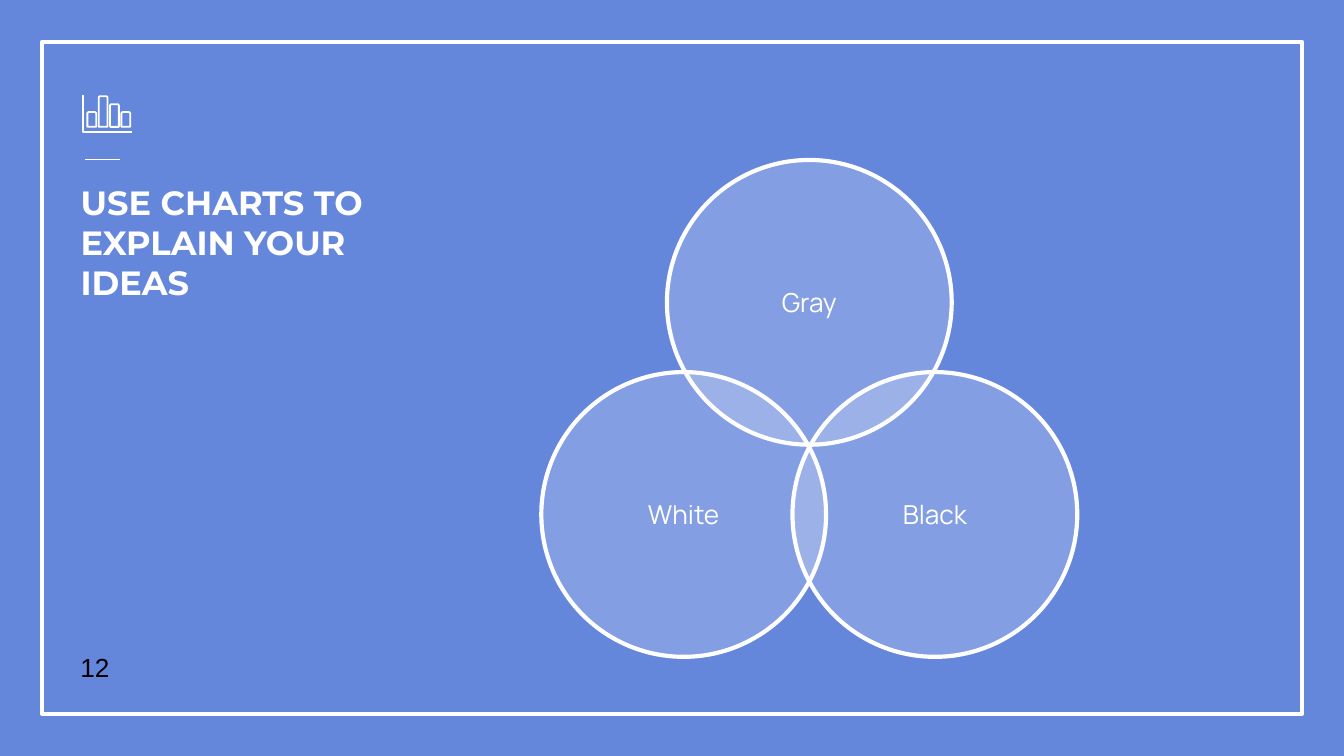
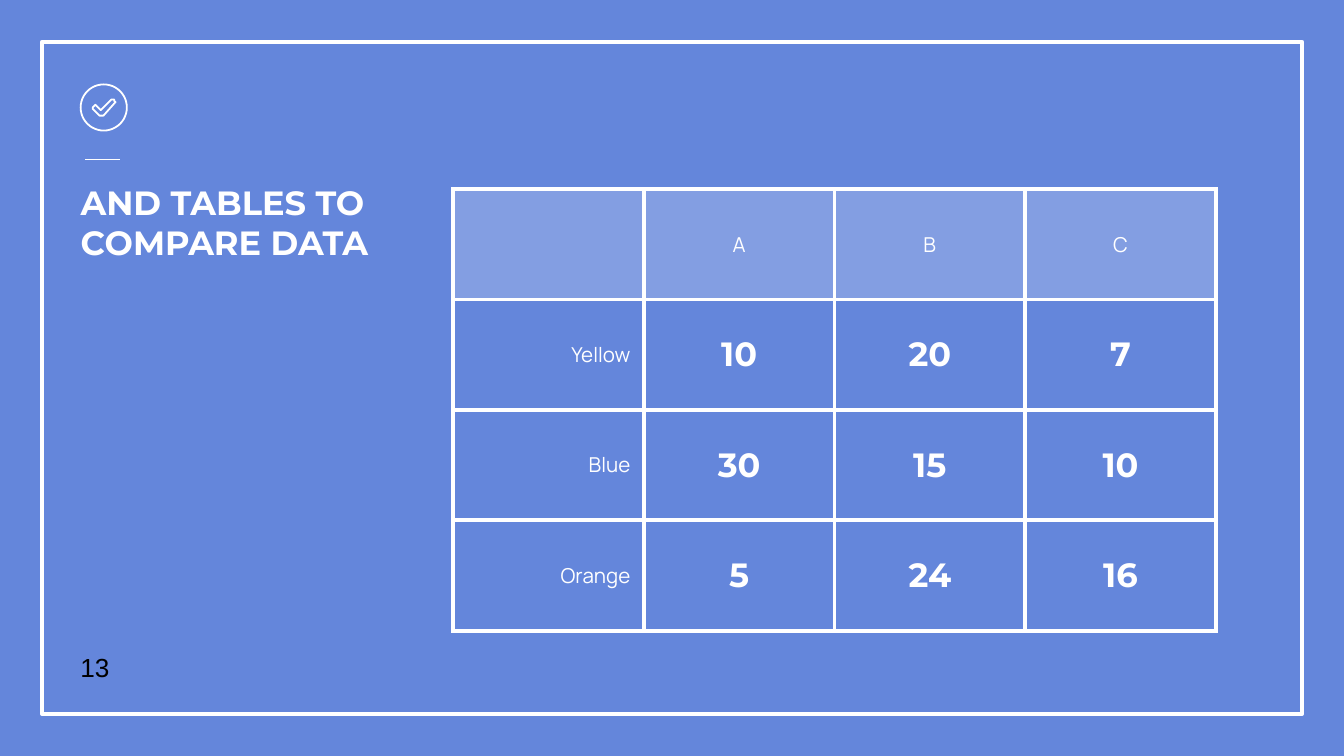
from dataclasses import dataclass

from lxml import etree
from pptx import Presentation
from pptx import util as u
from pptx.dml.color import RGBColor
from pptx.enum import shapes, text
from pptx.oxml.ns import qn


@dataclass(frozen=True)
class Theme:
    blue = RGBColor.from_string("6486DB")
    white = RGBColor.from_string("FFFFFF")
    black = RGBColor.from_string("000000")
    veil = "20000"  # opacity of the white fills, in thousandths of a percent
    heading_font, label_font, number_font = "Montserrat", "Manrope", "Arial"
    heading_size, label_size, cell_size = u.Pt(18), u.Pt(14), u.Pt(11)
    bold_line, icon_line, thin_line = u.Pt(2.25), u.Pt(0.96), u.Pt(0.75)
    inset = u.Inches(0.1)


theme = Theme()
COLUMNS, ROWS = 32, 18
unit = u.Inches(10) / COLUMNS


def grid(*cells):
    """Turn grid columns and rows into slide lengths."""
    return [u.Emu(round(cell * unit)) for cell in cells]


def style(item, line=None, font=None, size=None, color=theme.white,
          bold=False, align=text.PP_ALIGN.LEFT, anchor=None, veiled=False):
    """Format the outline, fill and text of a shape or table cell."""
    if line:
        item.shadow.inherit = False
        item.line.color.rgb = theme.white
        item.line.width = line
    if line or veiled:
        item.fill.background()
    if veiled:
        item.fill.solid()
        item.fill.fore_color.rgb = theme.white
        holder = item._tc.tcPr if hasattr(item, "_tc") else item.element.spPr
        tint = holder.find(qn("a:solidFill")).find(qn("a:srgbClr"))
        etree.SubElement(tint, qn("a:alpha")).set("val", theme.veil)
    if font:
        frame = item.text_frame
        frame.word_wrap = True
        if anchor is not None:
            frame.auto_size = text.MSO_AUTO_SIZE.NONE
            frame.vertical_anchor = anchor
            frame.margin_left = frame.margin_right = theme.inset
            frame.margin_top = frame.margin_bottom = theme.inset
        for para in frame.paragraphs:
            para.alignment = align
            for span in para.runs:
                span.font.name, span.font.size = font, size
                span.font.bold, span.font.color.rgb = bold, color


deck = Presentation()
deck.slide_width, deck.slide_height = grid(COLUMNS, ROWS)
backdrop = deck.slide_master.background.fill
backdrop.solid()
backdrop.fore_color.rgb = theme.blue

# Frame, short rule, title and number on every slide
pages = []
titles = ["USE CHARTS TO EXPLAIN YOUR IDEAS", "AND TABLES TO COMPARE DATA"]
for number, heading in enumerate(titles, start=12):
    page = deck.slides.add_slide(deck.slide_layouts.get_by_name("Title Only"))
    pages.append(page)
    border = page.shapes.add_shape(shapes.MSO_SHAPE.RECTANGLE, *grid(1, 1, 30, 16))
    style(border, line=theme.bold_line)

    rule = page.shapes.add_connector(shapes.MSO_CONNECTOR.STRAIGHT, *grid(2.02, 3.8, 2.85, 3.8))
    rule.line.color.rgb = theme.white
    rule.line.width = theme.thin_line
    etree.SubElement(rule.element.spPr, qn("a:effectLst"))

    title = page.shapes.title
    title.left, title.top, title.width, title.height = grid(1.6, 4, 7.55, 2.85)
    title.text_frame.text = heading
    style(title, font=theme.heading_font, size=theme.heading_size, bold=True,
          anchor=text.MSO_ANCHOR.TOP)

    number_box = page.shapes.add_textbox(*grid(1.6, 14.66, 1.92, 1.92))
    number_box.text_frame.text = str(number)
    style(number_box, font=theme.number_font, size=theme.label_size,
          color=theme.black, anchor=text.MSO_ANCHOR.BOTTOM)

chart_page, table_page = pages

# Three overlapping circles
diameter = 6.78
for label, left, top in [("Gray", 15.88, 3.81), ("White", 12.89, 8.86), ("Black", 18.87, 8.86)]:
    circle = chart_page.shapes.add_shape(
        shapes.MSO_SHAPE.OVAL, *grid(left, top, diameter, diameter))
    circle.text_frame.text = label
    style(circle, line=theme.bold_line, veiled=True, font=theme.label_font,
          size=theme.label_size, align=text.PP_ALIGN.CENTER, anchor=text.MSO_ANCHOR.MIDDLE)

# Bar chart icon
hundredth = u.Inches(1) / 100
pen = chart_page.shapes.build_freeform(62, 71, scale=hundredth)
pen.add_line_segments([(62, 98), (98, 98)], close=False)
style(pen.convert_to_shape(), line=theme.icon_line)
for index, height in enumerate([0.35, 0.73, 0.54, 0.35]):
    bar = chart_page.shapes.add_shape(
        shapes.MSO_SHAPE.ROUND_2_SAME_RECTANGLE,
        *grid(2.08 + 0.27 * index, 3.02 - height, 0.21, height))
    style(bar, line=theme.icon_line)

# Check mark icon
ring = table_page.shapes.add_shape(shapes.MSO_SHAPE.OVAL, *grid(1.92, 2.01, 1.1, 1.1))
style(ring, line=theme.icon_line)
pen = table_page.shapes.build_freeform(75, 86, scale=hundredth)
pen.add_line_segments([
    (76, 86), (77, 86), (85, 77), (86, 76), (85, 75), (85, 74), (84, 74), (83, 74), (82, 75),
    (75, 82), (72, 79), (71, 78), (70, 79), (69, 80), (69, 81), (70, 82), (74, 86)])
style(pen.convert_to_shape(), line=theme.icon_line)

# Comparison table
records = [
    ["", "A", "B", "C"],
    ["Yellow", "10", "20", "7"],
    ["Blue", "30", "15", "10"],
    ["Orange", "5", "24", "16"],
]
table = table_page.shapes.add_table(
    len(records), len(records[0]), *grid(10.79, 4.5, 4 * 4.54, 4 * 2.63)).table
table.first_row = table.horz_banding = False
for row, record in enumerate(records):
    for column, value in enumerate(record):
        cell = table.cell(row, column)
        cell.text_frame.text = value
        cell.vertical_anchor = text.MSO_ANCHOR.MIDDLE
        cell.margin_left = cell.margin_right = theme.inset
        cell.margin_top = cell.margin_bottom = u.Inches(0.07)
        cell.fill.background()
        is_figure = row > 0 and column > 0
        style(cell, veiled=row == 0, bold=is_figure,
              font=theme.heading_font if is_figure else theme.label_font,
              size=theme.heading_size if is_figure else theme.cell_size,
              align=text.PP_ALIGN.CENTER if column else text.PP_ALIGN.RIGHT)
        for order, side in enumerate(["a:lnL", "a:lnR", "a:lnT", "a:lnB"]):
            edge = etree.Element(qn(side), w=str(theme.bold_line))
            paint = etree.SubElement(edge, qn("a:solidFill"))
            etree.SubElement(paint, qn("a:srgbClr")).set("val", str(theme.white))
            cell._tc.tcPr.insert(order, edge)

deck.save("out.pptx")
